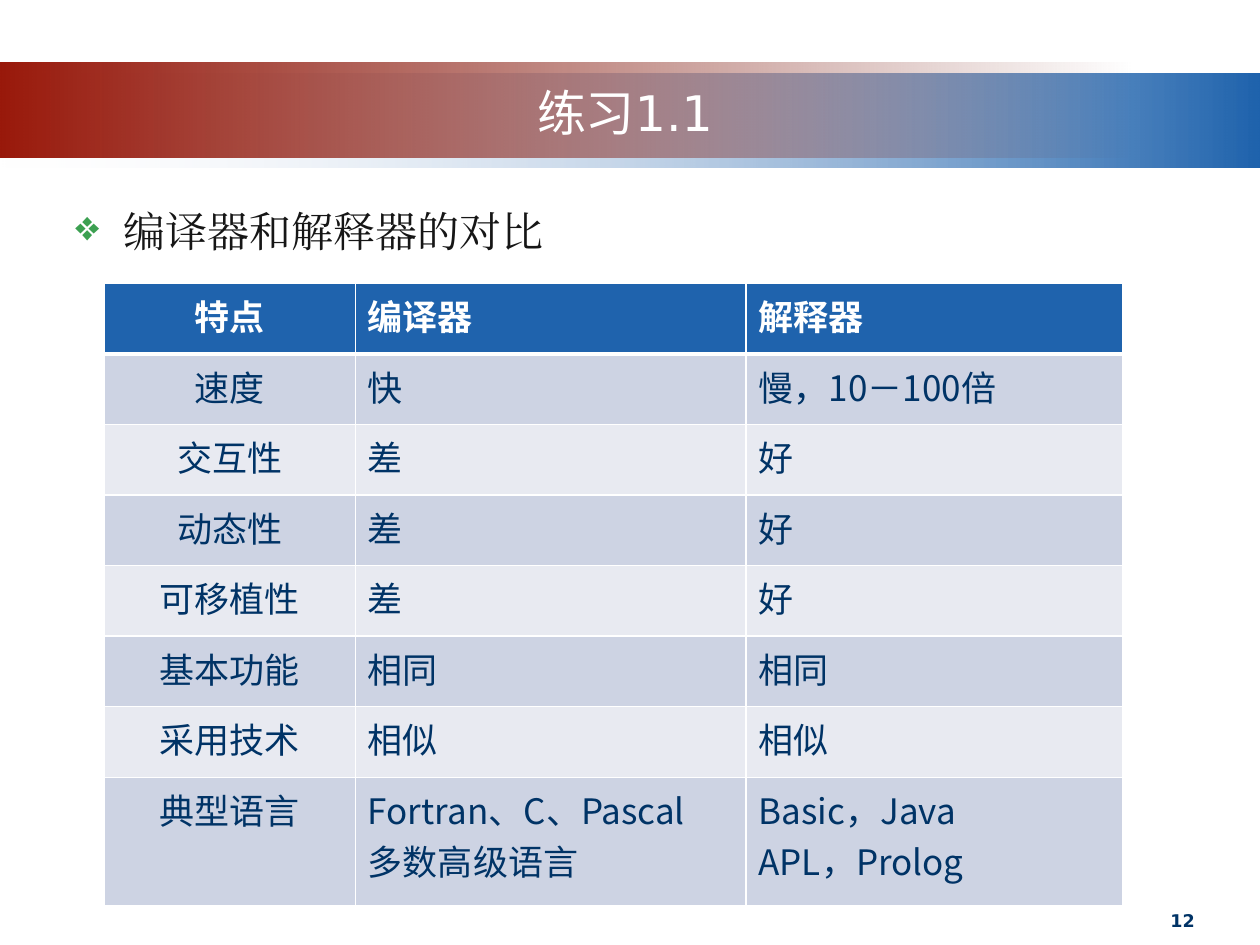
from lxml import etree
from pptx import Presentation
from pptx.dml.color import RGBColor
from pptx.enum.shapes import MSO_SHAPE
from pptx.enum.text import MSO_ANCHOR, PP_ALIGN
from pptx.oxml.ns import qn
from pptx.util import Inches, Pt

RECTANGLE = MSO_SHAPE.RECTANGLE
MIDDLE, TOP = MSO_ANCHOR.MIDDLE, MSO_ANCHOR.TOP
LEFT, CENTER, RIGHT = PP_ALIGN.LEFT, PP_ALIGN.CENTER, PP_ALIGN.RIGHT

SANS, CJK, SERIF = "DejaVu Sans", "Noto Sans CJK SC", "Times New Roman"
WHITE, NAVY, BLUE = "FFFFFF", "003366", "1F63AD"
ROW_FILLS = ["E8EAF1", "CDD3E3"]

COLUMN_WIDTHS = [1.99, 3.1, 2.99]
COMPARISON = [
    ["特点", "编译器", "解释器"],
    ["速度", "快", "慢，10－100倍"],
    ["交互性", "差", "好"],
    ["动态性", "差", "好"],
    ["可移植性", "差", "好"],
    ["基本功能", "相同", "相同"],
    ["采用技术", "相似", "相似"],
    ["典型语言", "Fortran、C、Pascal\n多数高级语言", "Basic，Java\nAPL，Prolog"],
]


def rgb(value):
    return RGBColor.from_string(value)


def place(left, top, width, height):
    return [Inches(length) for length in (left, top, width, height)]


def set_text(frame, text, size, font, color, align=LEFT, bold=False):
    frame.text = text
    for paragraph in frame.paragraphs:
        paragraph.alignment = align
        for run in paragraph.runs:
            run.font.size = Pt(size)
            run.font.bold = bold
            run.font.color.rgb = rgb(color)
            run.font.name = font
            etree.SubElement(run._r.rPr, qn("a:ea"), typeface=font)


def add_band(slide, bounds, stops):
    band = slide.shapes.add_shape(RECTANGLE, *place(*bounds))
    band.shadow.inherit = False
    band.line.fill.background()
    band.fill.gradient()
    band.fill.gradient_angle = 0
    for stop, (color, _) in zip(band.fill.gradient_stops, stops):
        stop.color.rgb = rgb(color)
    colors = band._element.spPr.iter(qn("a:srgbClr"))
    for element, (_, opaque) in zip(list(colors), stops):
        if not opaque:
            etree.SubElement(element, qn("a:alpha"), val="0")


def add_title(slide, text):
    title = slide.shapes.title
    title.left, title.top, title.width, title.height = place(0.92, 0.58, 8.08, 0.62)
    set_text(title.text_frame, text, 28, SANS, WHITE, CENTER)
    title.text_frame.vertical_anchor = MIDDLE
    slide.shapes._spTree.append(title._element)


def add_text(slide, bounds, text, size, font, color, align=LEFT, bold=False):
    frame = slide.shapes.add_textbox(*place(*bounds)).text_frame
    frame.word_wrap = True
    frame.vertical_anchor = TOP
    set_text(frame, text, size, font, color, align, bold)
    return frame.paragraphs[0]


def add_bullet(paragraph, character, color):
    properties = paragraph._p.get_or_add_pPr()
    properties.set("marL", str(Inches(0.38)))
    properties.set("indent", str(-Inches(0.38)))
    bullet_color = etree.SubElement(properties, qn("a:buClr"))
    etree.SubElement(bullet_color, qn("a:srgbClr"), val=color)
    etree.SubElement(properties, qn("a:buChar"), char=character)
    paragraph.line_spacing = 1.2


def set_borders(cell, bottom_width):
    properties = cell._tc.get_or_add_tcPr()
    widths = {"a:lnL": 1, "a:lnR": 1, "a:lnT": 1, "a:lnB": bottom_width}
    for position, (tag, width) in enumerate(widths.items()):
        border = etree.Element(qn(tag), w=str(Pt(width)))
        fill = etree.SubElement(border, qn("a:solidFill"))
        etree.SubElement(fill, qn("a:srgbClr"), val=WHITE)
        properties.insert(position, border)


def add_comparison(slide):
    table = slide.shapes.add_table(
        len(COMPARISON), len(COLUMN_WIDTHS), *place(0.83, 2.25, 8.08, 4.94)
    ).table
    for column, width in zip(table.columns, COLUMN_WIDTHS):
        column.width = Inches(width)
    for r, texts in enumerate(COMPARISON):
        header = r == 0
        table.rows[r].height = Inches(1.02 if r == len(COMPARISON) - 1 else 0.56)
        for c, text in enumerate(texts):
            cell = table.cell(r, c)
            set_text(cell.text_frame, text, 20, CJK, WHITE if header else NAVY,
                     LEFT if c else CENTER, header)
            cell.fill.solid()
            cell.fill.fore_color.rgb = rgb(BLUE if header else ROW_FILLS[r % 2])
            set_borders(cell, 3 if header else 1)
            if r == 1:
                cell._tc.tcPr.find(qn("a:lnT")).set("w", str(Pt(3)))


def main():
    presentation = Presentation()
    presentation.slide_width = Inches(10)
    presentation.slide_height = Inches(7.5)
    slide = presentation.slides.add_slide(presentation.slide_layouts[5])
    add_band(slide, (0, 0.58, 10, 0.75), [("F1F2F7", False), (BLUE, True)])
    add_band(slide, (0, 0.5, 9, 0.75), [("99190B", True), ("6D1208", False)])
    add_title(slide, "练习1.1")
    topic = add_text(slide, (0.5, 1.5, 9, 0.75), "编译器和解释器的对比", 24, SERIF, "161616")
    add_bullet(topic, "❖", "3CA051")
    add_text(slide, (7.25, 7.17, 2.33, 0.28), "12", 10, SANS, NAVY, RIGHT, True)
    add_comparison(slide)
    presentation.save("out.pptx")


if __name__ == "__main__":
    main()
